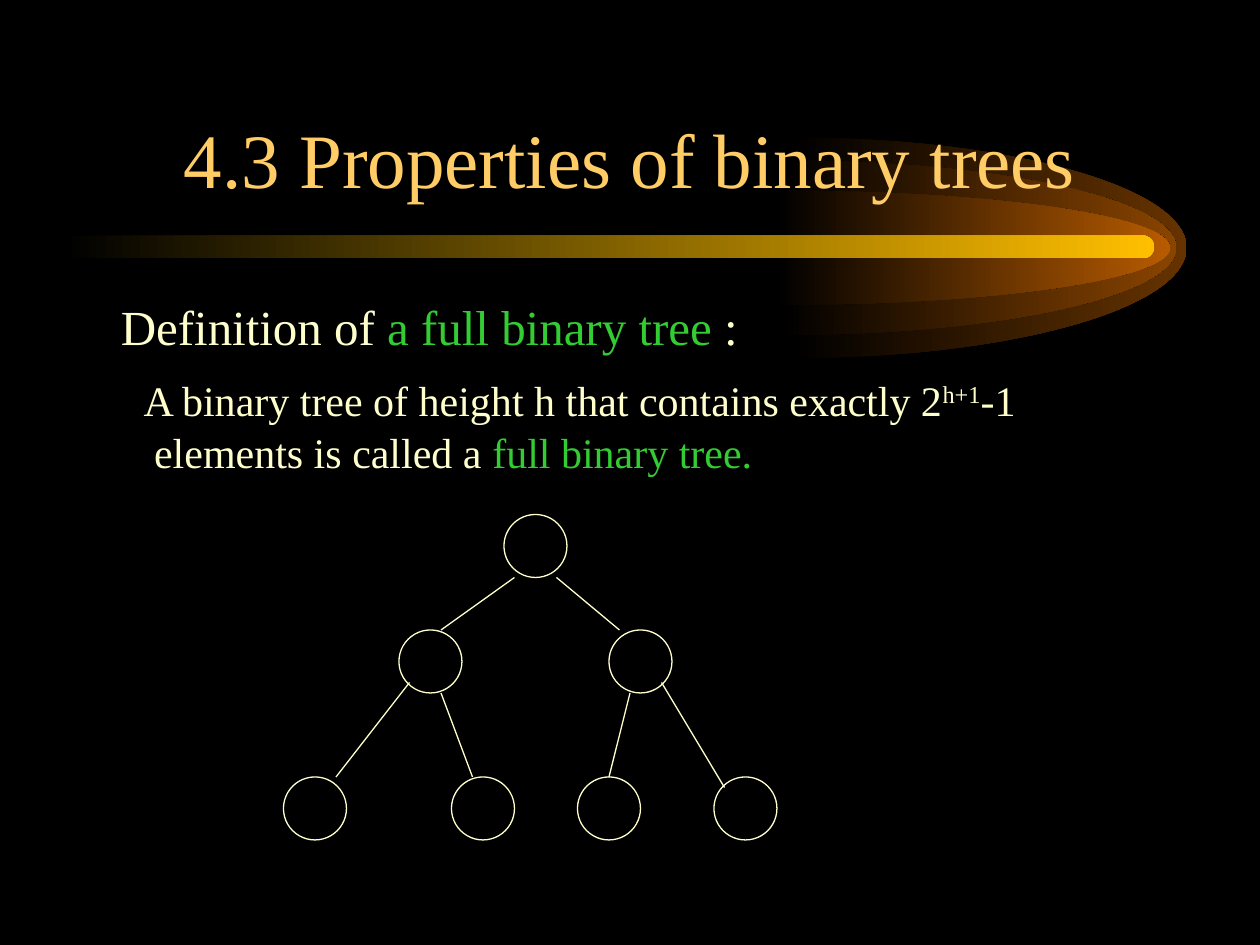
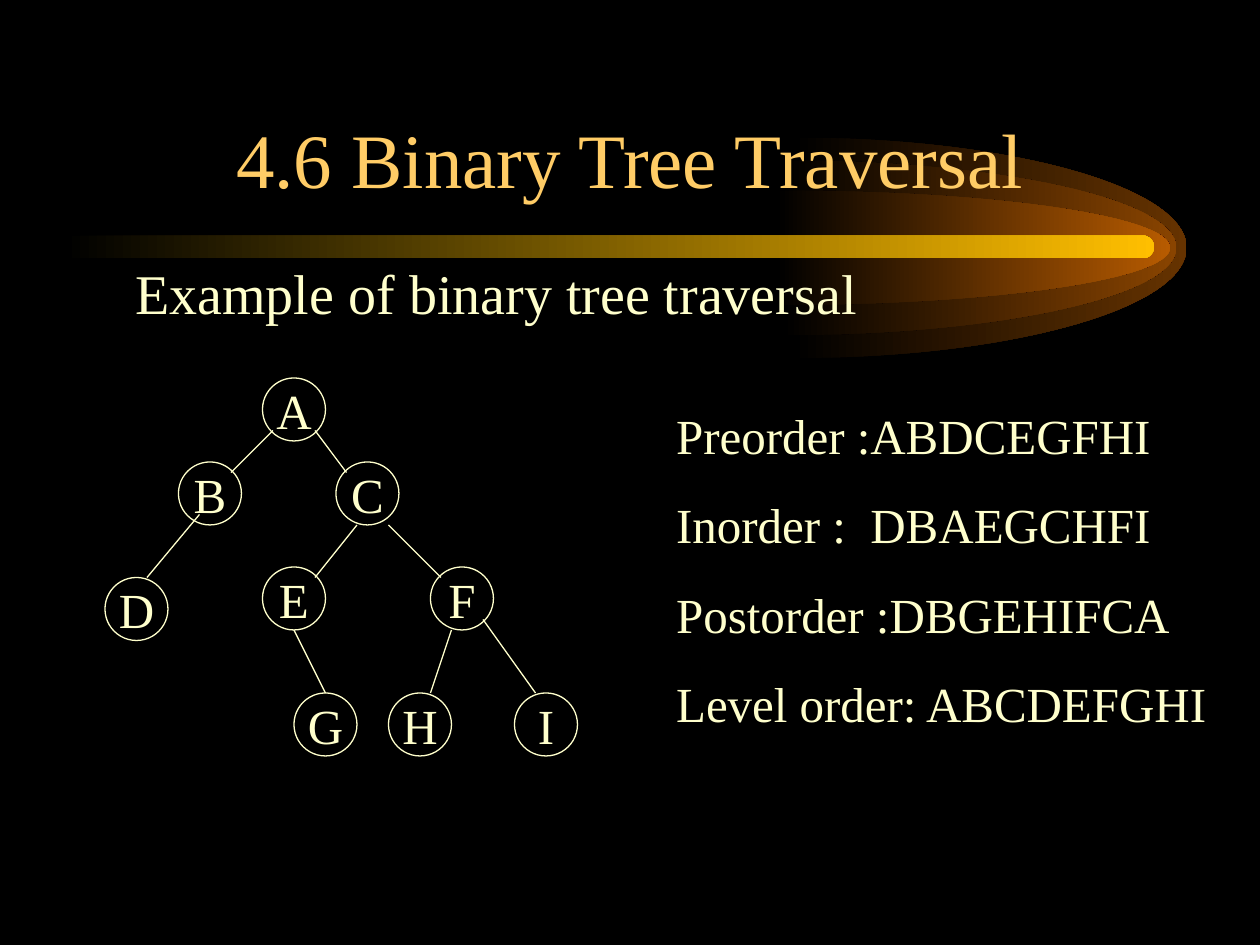
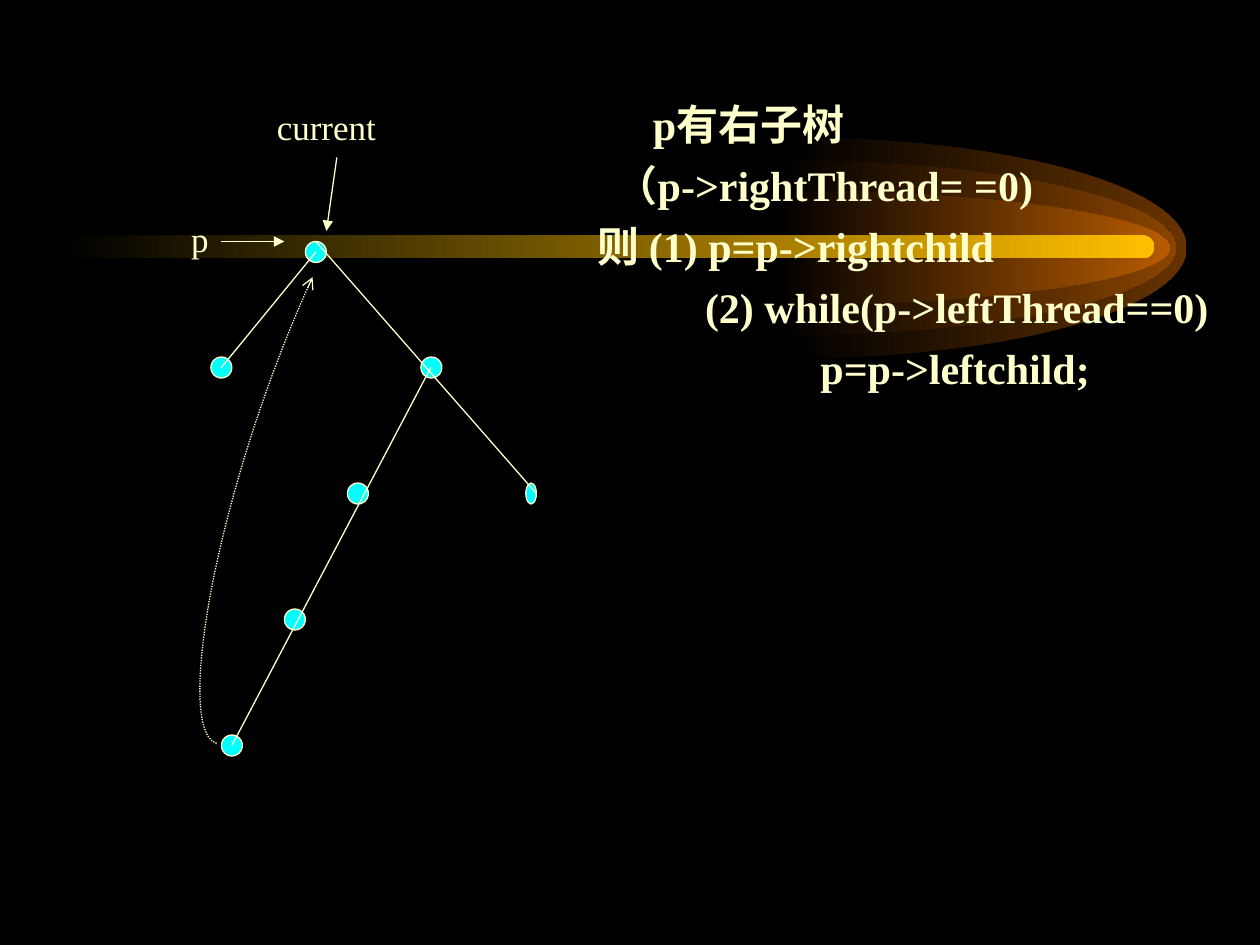
"""Build three slides about binary trees, their traversal and threaded successors."""
from lxml.etree import SubElement
from pptx import Presentation
from pptx.dml.color import RGBColor
from pptx.enum.dml import MSO_LINE
from pptx.enum.shapes import MSO_CONNECTOR, MSO_SHAPE
from pptx.enum.text import MSO_ANCHOR, PP_ALIGN
from pptx.oxml.ns import qn
from pptx.util import Pt

FONT = "Times New Roman"
BLACK, CREAM, GOLD, GREEN, CYAN = "000000", "FFFFCC", "FFCC66", "33CC33", "00FFFF"

GLOW_CY, GLOW_RX, ARC = 141.6, 225.2, 0.55
GLOWS = [(452.8, 63, "663300"), (447, 50, "894400"), (443.4, 32.8, "B75B00")]
BAR, BAR_COLOR = (36, 134.6, 623.5, 13), "FFBF00"
TITLE_BOX = (54, 30, 612, 90)

FULL_TITLE = "4.3 Properties of binary trees"
FULL_BOX = (54, 166, 612, 120)
FULL_TEXT = [
    {"margin": 27, "indent": -19, "size": 28, "runs": [
        ("Definition of ", {}), ("a full binary tree", {"color": GREEN}), (" :", {})]},
    {"margin": 27, "indent": -6, "before": 9.5, "spacing": 1.04, "size": 24, "runs": [
        ("A binary tree of height h that contains exactly 2", {}), ("h+1", {"raised": True}),
        ("-1 elements is called a ", {}), ("full binary tree.", {"color": GREEN})]},
]
FULL_NODES = [(288, 294), (228, 360), (348, 360), (162, 444), (258, 444), (330, 444), (408, 444)]
FULL_EDGES = [(294, 330, 252, 360), (318, 330, 354, 360), (234, 390, 192, 444),
              (252, 396, 270, 444), (360, 396, 348, 444), (378, 390, 414, 450)]

WALK_TITLE = "4.6 Binary Tree Traversal"
WALK_BOX = (70.3, 144, 632, 50)
WALK_TEXT = "Example of binary tree traversal"
WALK_NODES = {"A": (150, 216), "B": (102, 264), "C": (192, 264), "D": (60, 330), "E": (150, 324),
              "F": (246, 324), "I": (294, 396), "H": (222, 396), "G": (168, 396)}
WALK_EDGES = [(156, 246, 132, 270), (114, 294, 84, 330), (180, 246, 198, 270),
              (204, 300, 180, 330), (222, 300, 252, 330), (168, 360, 186, 396),
              (258, 360, 246, 396), (276, 354, 306, 396)]
ORDERS_BOX = (379.3, 228, 323, 194)
ORDERS = ["Preorder :ABDCEGFHI", "Inorder :  DBAEGCHFI",
          "Postorder :DBGEHIFCA", "Level order: ABCDEFGHI"]

STEPS_BOX = (334.3, 53, 368, 190)
STEPS = [(31.7, "p有右子树"), (10.5, "（p->rightThread= =0)"), (0, "则 (1) p=p->rightchild"),
         (61.5, "(2) while(p->leftThread==0)"), (127.5, "p=p->leftchild;")]
DOT = 12
THREAD_DOTS = [(174.5, 138, DOT), (120.5, 204, DOT), (240.5, 204, DOT), (198.5, 276, DOT),
               (162.5, 348, DOT), (126.5, 420, DOT), (300.5, 276, DOT / 2)]
THREAD_EDGES = [(180.5, 138, 306.5, 282), (180.5, 144, 126.5, 210), (246.2, 210, 132.5, 426)]
THREAD_ARROWS = [(126.5, 138, 162.5, 138), (192.5, 90, 186.5, 132)]
THREAD_CURVE = [(123.8, 424.8), (105.1, 419), (114.5, 337.7), (145.4, 243.4),
                (155.5, 213.1), (167, 183.6), (178.6, 158.4)]
POINTERS = [("current", (151, 56, 71, 32)), ("p", (102, 120, 24.5, 32))]


def rgb(color):
    return RGBColor.from_string(color)


def place(box):
    return [Pt(v) for v in box]


def style_run(r, size, color=CREAM, bold=False, raised=False):
    r.font.name, r.font.size, r.font.bold = FONT, Pt(size), bold
    r.font.color.rgb = rgb(color)
    if raised:
        r.font._element.set("baseline", "30000")


def set_outline(sp):
    sp.line.color.rgb = rgb(CREAM)
    sp.line.width = Pt(0.75)


def add_head(sp, kind):
    SubElement(sp.line._get_or_add_ln(), qn("a:tailEnd"), type=kind)


def add_text(s, box, paragraphs, wrap=True, anchor=MSO_ANCHOR.TOP, align=PP_ALIGN.LEFT):
    tf = s.shapes.add_textbox(*place(box)).text_frame
    tf.word_wrap, tf.vertical_anchor = wrap, anchor
    for i, item in enumerate(paragraphs):
        p = tf.add_paragraph() if i else tf.paragraphs[0]
        p.alignment = align
        p.line_spacing = item.get("spacing")
        pPr = p._p.get_or_add_pPr()
        pPr.set("marL", str(Pt(item.get("margin", 0))))
        pPr.set("indent", str(Pt(item.get("indent", 0))))
        if i:
            p.space_before = Pt(item.get("before", 0))
        for text, look in item["runs"]:
            r = p.add_run()
            r.text = text
            style_run(r, item["size"], **look)


def add_title(s, text):
    add_text(s, TITLE_BOX, [{"size": 44, "runs": [(text, {"color": GOLD})]}],
             anchor=MSO_ANCHOR.BOTTOM, align=PP_ALIGN.CENTER)


def add_curve(s, points, close):
    points = [place(pt) for pt in points]
    builder = s.shapes.build_freeform(*points[0], scale=1.0)
    builder.add_line_segments(points[1:], close=close)
    sp = builder.convert_to_shape()
    sp.shadow.inherit = False
    lines = list(sp._element.iter(qn("a:lnTo")))
    for i in range(0, len(lines) - 2, 3):
        arc = SubElement(lines[i].getparent(), qn("a:cubicBezTo"))
        lines[i].addprevious(arc)
        for line in lines[i:i + 3]:
            arc.append(line[0])
            line.getparent().remove(line)
    return sp


def fade(sp, color):
    sp.fill.gradient()
    sp.fill.gradient_angle = 0
    for stop, stop_color in zip(sp.fill.gradient_stops, (BLACK, color)):
        stop.color.rgb = rgb(stop_color)
    sp.line.fill.background()


def half_ellipse(left, ry):
    offsets = [(0, -1), (ARC, -1), (1, -ARC), (1, 0), (1, ARC), (ARC, 1), (0, 1), (0, 0)]
    return [(left + GLOW_RX * dx, GLOW_CY + ry * dy) for dx, dy in offsets]


def add_comet(s):
    for left, ry, color in GLOWS:
        fade(add_curve(s, half_ellipse(left, ry), True), color)
    bar = s.shapes.add_shape(MSO_SHAPE.ROUNDED_RECTANGLE, *place(BAR))
    bar.shadow.inherit = False
    bar.adjustments[0] = 0.5
    fade(bar, BAR_COLOR)


def move_to_master(s, master):
    for sp in list(s.shapes):
        master.shapes._spTree.append(sp._element)


def add_node(s, x, y, width=36, height=36, label="", fill=None):
    sp = s.shapes.add_shape(MSO_SHAPE.OVAL, *place((x, y, width, height)))
    sp.shadow.inherit = False
    set_outline(sp)
    if fill:
        sp.fill.solid()
        sp.fill.fore_color.rgb = rgb(fill)
    else:
        sp.fill.background()
    if label:
        tf = sp.text_frame
        tf.text, tf.word_wrap, tf.vertical_anchor = label, False, MSO_ANCHOR.MIDDLE
        tf.paragraphs[0].alignment = PP_ALIGN.CENTER
        style_run(tf.paragraphs[0].runs[0], 28)


def add_edges(s, edges, head=None):
    for edge in edges:
        line = s.shapes.add_connector(MSO_CONNECTOR.STRAIGHT, *place(edge))
        set_outline(line)
        SubElement(line._element.spPr, qn("a:effectLst"))
        if head:
            add_head(line, head)


def full_tree_slide(s):
    add_title(s, FULL_TITLE)
    add_text(s, FULL_BOX, FULL_TEXT)
    for x, y in FULL_NODES:
        add_node(s, x, y)
    add_edges(s, FULL_EDGES)


def traversal_slide(s):
    add_title(s, WALK_TITLE)
    add_text(s, WALK_BOX, [{"size": 32, "runs": [(WALK_TEXT, {})]}])
    for label, (x, y) in WALK_NODES.items():
        add_node(s, x, y, label=label)
    add_edges(s, WALK_EDGES)
    add_text(s, ORDERS_BOX, [{"size": 28, "before": 17.5, "runs": [(text, {})]}
                             for text in ORDERS])


def thread_slide(s):
    add_text(s, STEPS_BOX, [{"margin": margin, "size": 24, "before": 6,
                             "runs": [(text, {"bold": True})]} for margin, text in STEPS])
    for x, y, width in THREAD_DOTS:
        add_node(s, x, y, width, DOT, fill=CYAN)
    add_edges(s, THREAD_EDGES)
    curve = add_curve(s, THREAD_CURVE, False)
    curve.fill.background()
    set_outline(curve)
    curve.line.dash_style = MSO_LINE.ROUND_DOT
    add_head(curve, "arrow")
    add_edges(s, THREAD_ARROWS, "triangle")
    for text, box in POINTERS:
        add_text(s, box, [{"size": 20, "runs": [(text, {})]}], False,
                 MSO_ANCHOR.MIDDLE, PP_ALIGN.CENTER)


def main():
    prs = Presentation()
    prs.slide_width, prs.slide_height = Pt(720), Pt(540)
    master = prs.slide_master
    master.background.fill.solid()
    master.background.fill.fore_color.rgb = rgb(BLACK)
    slides = [prs.slides.add_slide(prs.slide_layouts[6]) for _ in range(3)]
    add_comet(slides[0])
    move_to_master(slides[0], master)
    for s, build in zip(slides, (full_tree_slide, traversal_slide, thread_slide)):
        build(s)
    prs.save("out.pptx")


if __name__ == "__main__":
    main()
